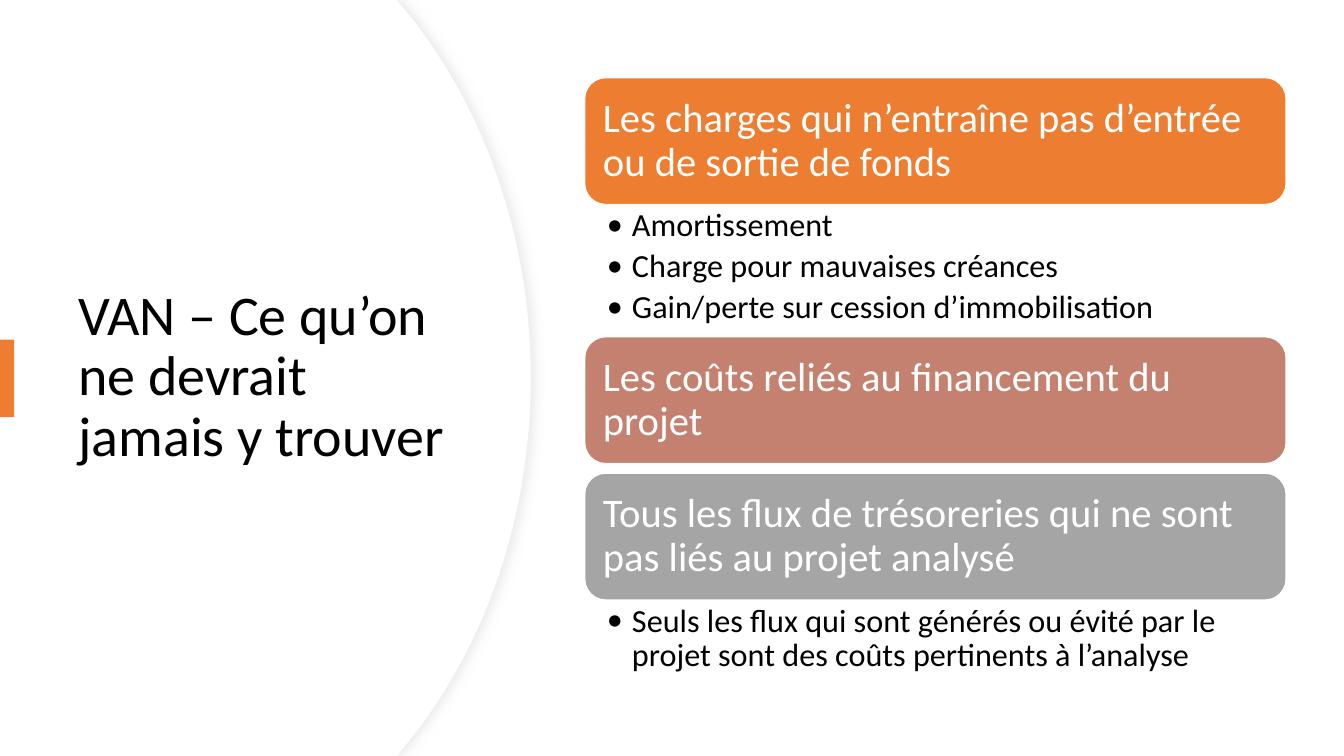
"""Build the slide on what a net present value should leave out."""
import dataclasses
import typing

import lxml.etree
import pptx
import pptx.dml.color
import pptx.enum.shapes
import pptx.enum.text
import pptx.oxml.ns
import pptx.util

COLOURS = {
    "white": "FFFFFF",
    "black": "000000",
    "orange": "ED7D31",
    "rose": "C48170",
    "grey": "A5A5A5",
    "edge": "EFEFEF",
    "shadow": "D9D9D9",
}
WIDTH = pptx.util.Inches(13.333)
HEIGHT = pptx.util.Inches(7.5)
SHAPES = pptx.enum.shapes.MSO_SHAPE
ANCHORS = pptx.enum.text.MSO_ANCHOR
INCH = pptx.util.Inches
QN = pptx.oxml.ns.qn

STACK_LEFT, STACK_TOP, STACK_WIDTH = 43.5, 10.27, 52.2
HEADING_HEIGHT, HEADING_GAP = 16.8, 1.25

TITLE_FRAME = {"word_wrap": True, "vertical_anchor": ANCHORS.MIDDLE}
HEADING_FRAME = TITLE_FRAME | {
    f"margin_{side}": INCH(0.12) for side in ("left", "right", "top", "bottom")
}
BULLET_FRAME = {
    "word_wrap": True,
    "vertical_anchor": ANCHORS.TOP,
    "margin_left": INCH(0.22),
    "margin_right": INCH(0.23),
    "margin_top": INCH(0.04),
    "margin_bottom": INCH(0.04),
}
PARAGRAPH = {"alignment": pptx.enum.text.PP_ALIGN.LEFT, "line_spacing": 0.9}
BULLET_PARAGRAPH = PARAGRAPH | {"space_after": pptx.util.Pt(4.6)}


class Box(typing.NamedTuple):
    """A rectangle in percent of the slide's width and height."""

    left: float
    top: float
    width: float
    height: float

    def lengths(self) -> tuple[int, int, int, int]:
        return across(self.left), down(self.top), across(self.width), down(self.height)


@dataclasses.dataclass(frozen=True)
class Topic:
    """A coloured heading with the bullets below it."""

    heading: str
    colour: str
    bullets: tuple[str, ...] = ()
    bullets_height: float = HEADING_GAP


@dataclasses.dataclass(frozen=True)
class Panel:
    """A white area bounded by an arc, moved left by an inset."""

    inset: float
    outlined: bool


TITLE = "VAN – Ce qu’on ne devrait jamais y trouver"
TOPICS = (
    Topic(
        "Les charges qui n’entraîne pas d’entrée ou de sortie de fonds",
        "orange",
        (
            "Amortissement",
            "Charge pour mauvaises créances",
            "Gain/perte sur cession d’immobilisation",
        ),
        17.47,
    ),
    Topic("Les coûts reliés au financement du projet", "rose"),
    Topic(
        "Tous les flux de trésoreries qui ne sont pas liés au projet analysé",
        "grey",
        (
            "Seuls les flux qui sont générés ou évité par le projet sont des "
            "coûts pertinents à l’analyse",
        ),
        10.53,
    ),
)
PANELS = (Panel(0, True), Panel(0.08, False))


def across(percent: float) -> int:
    return round(WIDTH * percent / 100)


def down(percent: float) -> int:
    return round(HEIGHT * percent / 100)


def rgb(name: str) -> pptx.dml.color.RGBColor:
    return pptx.dml.color.RGBColor.from_string(COLOURS[name])


def apply(target: object, formats: dict[str, object]) -> None:
    for name, value in formats.items():
        setattr(target, name, value)


def paint(shape, fill: str, line: str | None = None, weight: float = 1) -> None:
    shape.shadow.inherit = False
    shape.fill.solid()
    shape.fill.fore_color.rgb = rgb(fill)
    if line is None:
        shape.line.fill.background()
    else:
        shape.line.color.rgb = rgb(line)
        shape.line.width = pptx.util.Pt(weight)


def add_bullet(paragraph) -> None:
    properties = paragraph._p.get_or_add_pPr()
    properties.set("marL", str(INCH(0.25)))
    properties.set("indent", str(-INCH(0.25)))
    lxml.etree.SubElement(properties, QN("a:buFont"), typeface="Calibri")
    lxml.etree.SubElement(properties, QN("a:buChar"), char="•")


def write(shape, lines: tuple[str, ...], frame: dict, paragraphs: dict,
          size: float, colour: str, bulleted: bool = False) -> None:
    text_frame = shape.text_frame
    apply(text_frame, frame)
    text_frame.text = "\n".join(lines)
    for paragraph in text_frame.paragraphs:
        if bulleted:
            add_bullet(paragraph)
        apply(paragraph, paragraphs)
        for run in paragraph.runs:
            apply(run.font, {"name": "Calibri", "size": pptx.util.Pt(size)})
            run.font.color.rgb = rgb(colour)


def panel_points(inset: float) -> list[tuple[int, int]]:
    arc = ((30.08, 1.07), (35.93, 13.6), (39.53, 30.93), (39.53, 50))
    upper = [(29.55, 0)] + [(x - inset, y) for x, y in arc]
    lower = [(x, 100 - y) for x, y in reversed(upper[:-1])]
    return [(across(x), down(y)) for x, y in upper + lower + [(0, 100)]]


def bend_arc(shape) -> None:
    segments = list(shape.element.iter(QN("a:lnTo")))
    for first in (2, 5):
        curve = lxml.etree.Element(QN("a:cubicBezTo"))
        segments[first].addprevious(curve)
        for segment in segments[first:first + 3]:
            curve.append(segment[0])
            segment.getparent().remove(segment)


def add_soft_shadow(shape) -> None:
    effects = shape.element.spPr.find(QN("a:effectLst"))
    shadow = lxml.etree.SubElement(effects, QN("a:outerShdw"), algn="l", rotWithShape="0")
    for key, value in {"blurRad": pptx.util.Pt(7), "dist": pptx.util.Pt(3), "dir": 0}.items():
        shadow.set(key, str(int(value)))
    colour = lxml.etree.SubElement(shadow, QN("a:srgbClr"), val=COLOURS["shadow"])
    lxml.etree.SubElement(colour, QN("a:alpha"), val="50000")


def add_panel(slide, panel: Panel) -> None:
    builder = slide.shapes.build_freeform(0, 0)
    builder.add_line_segments(panel_points(panel.inset), close=True)
    shape = builder.convert_to_shape()
    bend_arc(shape)
    paint(shape, "white", "edge" if panel.outlined else None, 0.75)
    if panel.outlined:
        add_soft_shadow(shape)


def add_topic(slide, topic: Topic, top: float) -> float:
    heading_box = Box(STACK_LEFT, top, STACK_WIDTH, HEADING_HEIGHT)
    heading = slide.shapes.add_shape(SHAPES.ROUNDED_RECTANGLE, *heading_box.lengths())
    paint(heading, topic.colour, "white")
    write(heading, (topic.heading,), HEADING_FRAME, PARAGRAPH, 29, "white")
    bottom = top + HEADING_HEIGHT
    if topic.bullets:
        bullets_box = Box(STACK_LEFT, bottom, STACK_WIDTH, topic.bullets_height)
        bullets = slide.shapes.add_textbox(*bullets_box.lengths())
        write(bullets, topic.bullets, BULLET_FRAME, BULLET_PARAGRAPH, 23, "black", True)
    return bottom + topic.bullets_height


def main() -> None:
    presentation = pptx.Presentation()
    apply(presentation, {"slide_width": WIDTH, "slide_height": HEIGHT})
    slide = presentation.slides.add_slide(presentation.slide_layouts[6])
    for panel in PANELS:
        add_panel(slide, panel)
    title = slide.shapes.add_textbox(*Box(5.1, 16.93, 29.55, 66).lengths())
    write(title, (TITLE,), TITLE_FRAME, PARAGRAPH, 40, "black")
    marker = slide.shapes.add_shape(SHAPES.RECTANGLE, *Box(0, 44.93, 1.05, 10.27).lengths())
    paint(marker, "orange")
    top = STACK_TOP
    for topic in TOPICS:
        top = add_topic(slide, topic, top)
    presentation.save("out.pptx")


if __name__ == "__main__":
    main()
